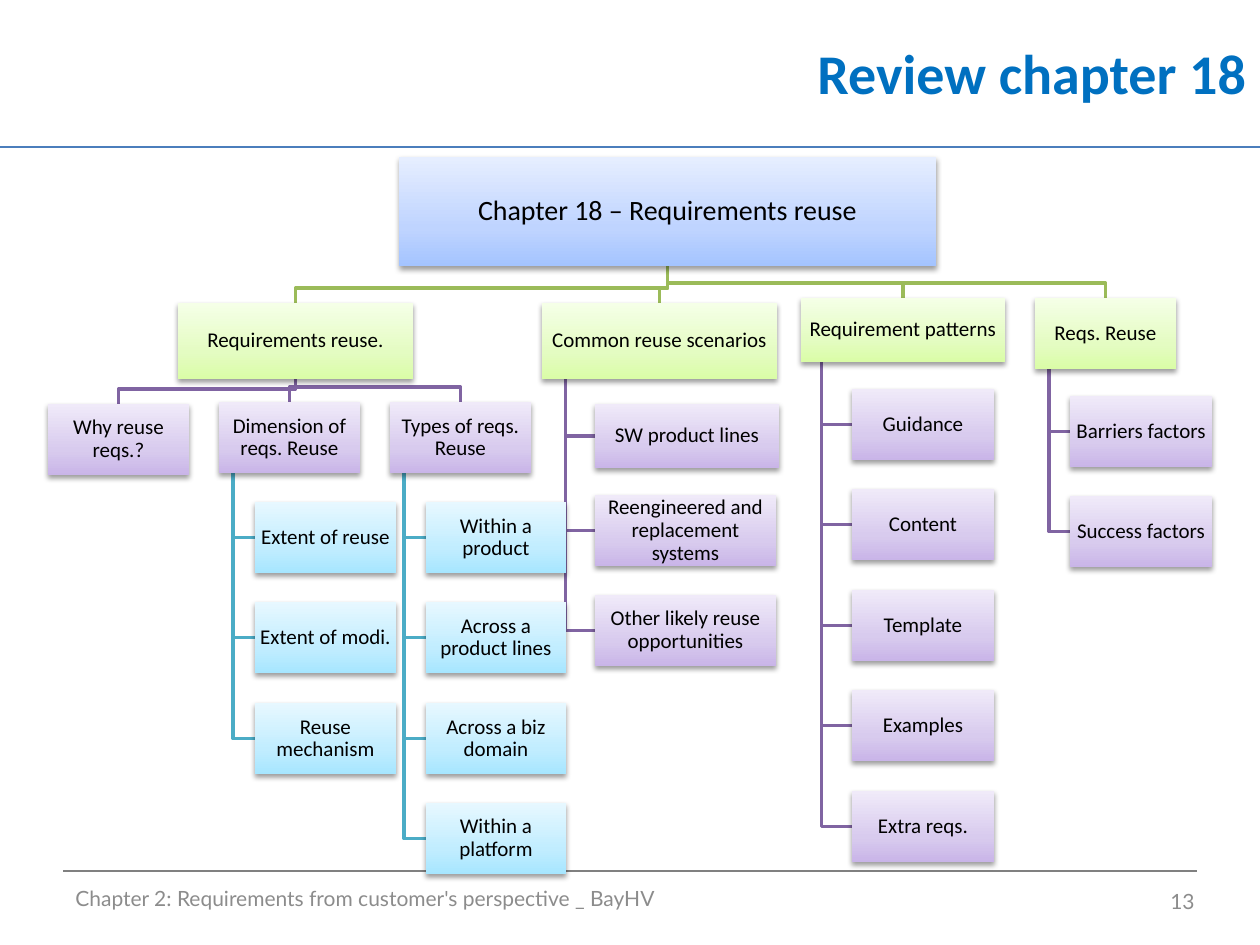
import copy

import pptx
import pptx.util
from lxml import etree
from pptx.dml.color import RGBColor
from pptx.enum.shapes import MSO_CONNECTOR, MSO_SHAPE
from pptx.enum.text import MSO_ANCHOR, PP_ALIGN
from pptx.oxml.ns import qn

# Content: boxes are (left, top, width, height) in px
TITLE = "Review chapter 18"
FOOTER = "Chapter 2: Requirements from customer's perspective _ BayHV"
PAGE = "13"


def node(text, box, branches=(), hanging=True):
    return {"text": text, "box": box, "branches": branches, "hanging": hanging}


def column(left, top, width, height, texts):
    """Equal boxes one below the other, two rows every 201 px."""
    return [node(text, (left, top + row * 201 // 2, width, height))
            for row, text in enumerate(texts)]


CHAPTER = node("Chapter 18 – Requirements reuse", (399, 157, 537, 109), [
    node("Requirements reuse.", (178, 303, 235, 76), [
        node("Why reuse reqs.?", (48, 404, 141, 71)),
        node("Dimension of reqs. Reuse", (219, 402, 141, 71), column(
            255, 502, 141, 71,
            ["Extent of reuse", "Extent of modi.", "Reuse mechanism"])),
        node("Types of reqs. Reuse", (390, 402, 141, 71), column(
            426, 502, 140, 71,
            ["Within a product", "Across a product lines",
             "Across a biz domain", "Within a platform"])),
    ], hanging=False),
    node("Common reuse scenarios", (542, 303, 235, 76),
         column(595, 404, 184, 64, ["SW product lines"])
         + column(595, 495, 181, 71, ["Reengineered and replacement systems",
                                      "Other likely reuse opportunities"])),
    node("Requirement patterns", (801, 298, 204, 64), column(
        852, 389, 142, 71,
        ["Guidance", "Content", "Template", "Examples", "Extra reqs."])),
    node("Reqs. Reuse", (1035, 298, 141, 71), column(
        1070, 396, 142, 71, ["Barriers factors", "Success factors"])),
], hanging=False)

# Per level: gradient from bottom to top, and colour of the branch above
BLACK = RGBColor(0x00, 0x00, 0x00)
TITLE_BLUE = RGBColor(0x00, 0x70, 0xC0)
RULE_BLUE = RGBColor(0x4B, 0x7E, 0xBC)
RULE_GREY = RGBColor(0x80, 0x80, 0x80)
FOOTER_GREY = RGBColor(0x8C, 0x8C, 0x8C)
GRADIENTS = [
    (RGBColor(0xA4, 0xC4, 0xFF), RGBColor(0xBF, 0xD4, 0xFF), RGBColor(0xE6, 0xEE, 0xFF)),
    (RGBColor(0xDA, 0xFD, 0xA7), RGBColor(0xE4, 0xFC, 0xC2), RGBColor(0xF5, 0xFF, 0xE7)),
    (RGBColor(0xC9, 0xB5, 0xE8), RGBColor(0xD8, 0xCB, 0xEE), RGBColor(0xF0, 0xEA, 0xF9)),
    (RGBColor(0xA7, 0xE6, 0xFF), RGBColor(0xC1, 0xED, 0xFF), RGBColor(0xE7, 0xF8, 0xFF)),
]
BRANCH_COLORS = [None, RGBColor(0x9B, 0xBB, 0x59), RGBColor(0x80, 0x64, 0xA2),
                 RGBColor(0x4B, 0xAC, 0xC6)]
STOPS = (0, 0.35, 1)
BEND = 15  # height of the last stretch above a box


def px(length):
    return pptx.util.Emu(round(length * 914400 / 126))


def write(frame, text, font_name, size, color, align, bold=False):
    frame.text = text
    frame.word_wrap = True
    frame.vertical_anchor = MSO_ANCHOR.MIDDLE
    paragraph = frame.paragraphs[0]
    paragraph.alignment = align
    font = paragraph.runs[0].font
    font.name, font.size, font.bold = font_name, pptx.util.Pt(size), bold
    font.color.rgb = color
    return paragraph


def draw_rule(left, right, y, color):
    rule = slide.shapes.add_connector(
        MSO_CONNECTOR.STRAIGHT, px(left), px(y), px(right), px(y))
    rule.line.color.rgb = color
    rule.line.width = pptx.util.Pt(0.75)
    etree.SubElement(rule._element.spPr, qn("a:effectLst"))


def draw_branch(parent, child, level):
    left, top, width, height = parent["box"]
    child_left, child_top, child_width, child_height = child["box"]
    bottom = top + height
    if parent["hanging"]:
        start = left + width / 10
        middle = child_top + child_height / 2
        corners = [(start, middle), (child_left, middle)]
    else:
        start = left + width / 2
        center = child_left + child_width / 2
        bend = child_top - BEND
        corners = [(start, bend), (center, bend), (center, child_top)]
    builder = slide.shapes.build_freeform(px(start), px(bottom))
    builder.add_line_segments([(px(x), px(y)) for x, y in corners], close=False)
    branch = builder.convert_to_shape()
    branch.fill.background()
    branch.line.color.rgb = BRANCH_COLORS[level]
    branch.line.width = pptx.util.Pt(2)
    branch.shadow.inherit = False


def draw_box(topic, level):
    box = slide.shapes.add_shape(MSO_SHAPE.RECTANGLE, *map(px, topic["box"]))
    properties = box._element.spPr

    # Three-stop gradient, light at the top
    box.fill.gradient()
    box.fill.gradient_angle = 90
    stop_list = properties.find(".//" + qn("a:gsLst"))
    stop_list.append(copy.deepcopy(stop_list[0]))
    for stop, position, color in zip(box.fill.gradient_stops, STOPS, GRADIENTS[level]):
        stop.position = position
        stop.color.rgb = color
    box.line.fill.background()

    # Soft shadow straight below
    box.shadow.inherit = False
    shadow = etree.SubElement(
        properties.find(qn("a:effectLst")), qn("a:outerShdw"),
        blurRad=str(pptx.util.Pt(3.1)), dist=str(pptx.util.Pt(1.6)),
        dir="5400000", rotWithShape="0")
    shade = etree.SubElement(shadow, qn("a:srgbClr"), val=str(BLACK))
    etree.SubElement(shade, qn("a:alpha"), val="38000")

    frame = box.text_frame
    frame.margin_left = frame.margin_right = px(1)
    frame.margin_top = frame.margin_bottom = px(1)
    paragraph = write(frame, topic["text"], "Calibri", 12 if level else 16,
                      BLACK, PP_ALIGN.CENTER)
    paragraph.line_spacing = 0.9


def draw_branches(topic, level=1):
    for child in topic["branches"]:
        draw_branch(topic, child, level)
        draw_branches(child, level + 1)


def draw_boxes(topic, level=0):
    draw_box(topic, level)
    for child in topic["branches"]:
        draw_boxes(child, level + 1)


presentation = pptx.Presentation()
presentation.slide_width, presentation.slide_height = px(1260), px(945)
slide = presentation.slides.add_slide(presentation.slide_layouts[5])

# Rules, title and footer
draw_rule(0, 1260, 147, RULE_BLUE)
draw_rule(63, 1197, 871, RULE_GREY)
title = slide.shapes.title
title.left, title.top, title.width, title.height = map(px, (365, 0, 894, 145))
write(title.text_frame, TITLE, "Calibri", 32, TITLE_BLUE, PP_ALIGN.RIGHT, bold=True)
for text, place, align in [(FOOTER, (63, 873, 840, 50), PP_ALIGN.LEFT),
                           (PAGE, (914, 876, 293, 50), PP_ALIGN.RIGHT)]:
    footer = slide.shapes.add_textbox(*map(px, place))
    write(footer.text_frame, text, "Lato", 12, FOOTER_GREY, align)

# Chapter tree: branches behind boxes
draw_branches(CHAPTER)
draw_boxes(CHAPTER)

presentation.save("out.pptx")
